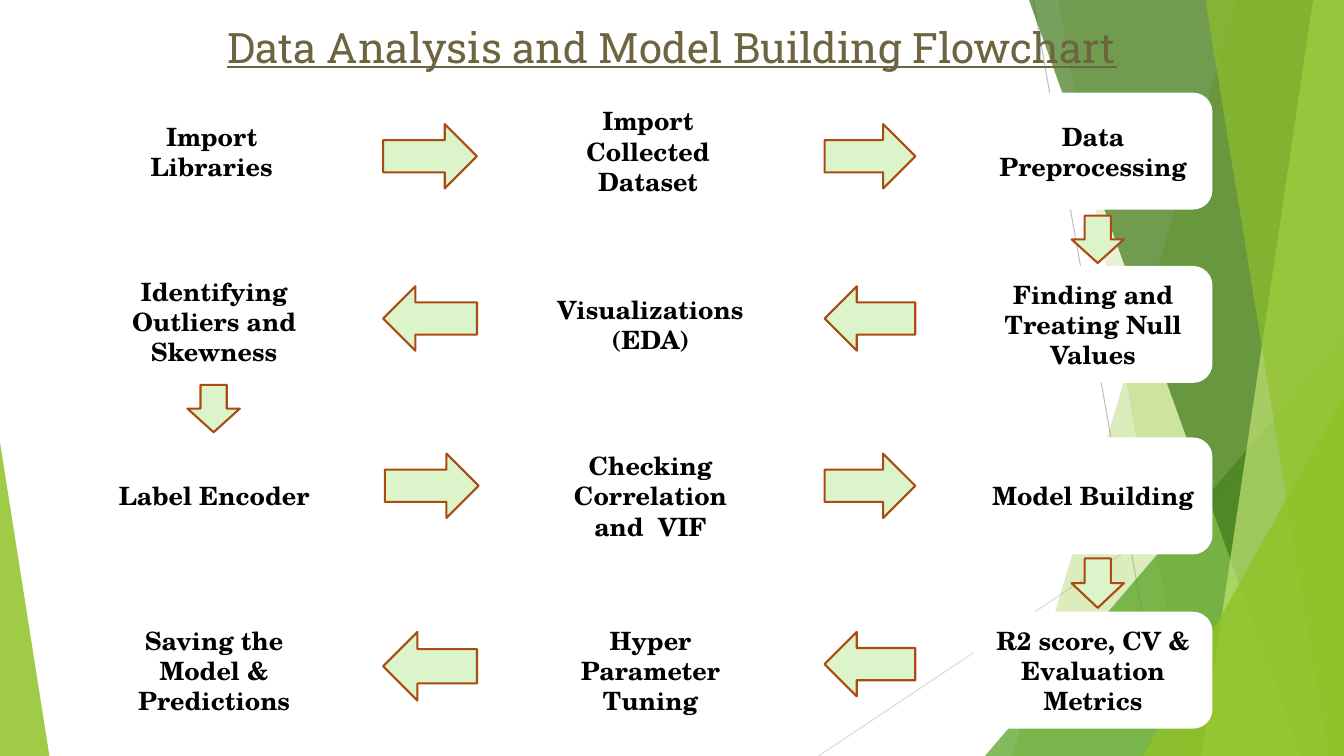
import lxml.etree
import pptx
import pptx.dml.color
import pptx.enum.shapes
import pptx.enum.text
import pptx.oxml.ns
import pptx.util

Pt = pptx.util.Pt
RGB = pptx.dml.color.RGBColor
SHAPE = pptx.enum.shapes.MSO_SHAPE
qn = pptx.oxml.ns.qn

WIDTH, HEIGHT = 960, 540
WHITE = RGB(0xFF, 0xFF, 0xFF)
BLACK = RGB(0x00, 0x00, 0x00)
OLIVE = RGB(0x6D, 0x65, 0x40)
LIME = RGB(0x90, 0xC2, 0x26)
PALE_LIME = RGB(0xC0, 0xE4, 0x74)
GREEN = RGB(0x54, 0xA0, 0x21)
DARK_GREEN = RGB(0x3F, 0x78, 0x19)
MINT = RGB(0xDB, 0xF4, 0xCA)
RUST = RGB(0xAB, 0x4B, 0x12)
GREY = RGB(0xBF, 0xBF, 0xBF)
LIGHT_GREY = RGB(0xD9, 0xD9, 0xD9)

TITLE_FONT = {"name": "Roboto Slab", "size": Pt(30), "underline": True}
STEP_FONT = {"name": "TeX Gyre Schola", "size": Pt(18), "bold": True}

# Step grid, measured from the flowchart's corner
COLUMNS = (0, 311.7, 627.8)
ROWS = (0, 123.8, 246.3, 370.8)
STEP_W, STEP_H = 170.6, 83.5
STEPS = (
    ("Import Libraries", "Import Collected Dataset", "Data Preprocessing"),
    ("Identifying Outliers and Skewness", "Visualizations\n(EDA)",
     "Finding and Treating Null Values"),
    ("Label Encoder", "Checking Correlation and  VIF", "Model Building"),
    ("Saving the Model & Predictions", "Hyper Parameter Tuning",
     "R2 score, CV & Evaluation Metrics"),
)
# Exceptions to the grid: (row, column) -> (left, top, width) shift
NUDGES = {(0, 0): (0, 0, -3.6), (0, 1): (0, 0, -3.6), (1, 0): (0, -2.1, 0)}

# Arrows between columns (left, width), their tops by row, and between rows
GAPS = ((206, 67), (521.3, 64.8))
ARROW_TOPS = (22.4, 138.3, 257.8, 385.2)
ARROW_H = 46
DOWN_ARROWS = ((697.7, 87.9, 33.8), (66.2, 208.8, 33.8), (697.7, 332.7, 35.3))
DOWN_W = 37.4


def set_font(p, color, values):
    for r in p.runs:
        for key, value in values.items():
            setattr(r.font, key, value)
        r.font.color.rgb = color


def paint(s, color, opacity=100, line=None):
    s.shadow.inherit = False
    s.fill.solid()
    s.fill.fore_color.rgb = color
    if opacity < 100:
        clr = s._element.spPr.find(f"{qn('a:solidFill')}/{qn('a:srgbClr')}")
        lxml.etree.SubElement(clr, qn("a:alpha"), val=str(opacity * 1000))
    if line is None:
        s.line.fill.background()
    else:
        s.line.color.rgb = line
        s.line.width = Pt(1.5)


def add_shape(sl, kind, x, y, w, h):
    return sl.shapes.add_shape(kind, Pt(x), Pt(y), Pt(w), Pt(h))


def add_hairline(sl, x1, y1, x2, y2, color):
    s = sl.shapes.add_connector(pptx.enum.shapes.MSO_CONNECTOR.STRAIGHT,
                                Pt(x1), Pt(y1), Pt(x2), Pt(y2))
    s.line.color.rgb = color
    s.line.width = Pt(0.75)
    lxml.etree.SubElement(s._element.spPr, qn("a:effectLst"))


def add_band(sl, right, bottom, top_x, bottom_x, color, opacity):
    """Band from a slanted left edge to the right side of its box."""
    fb = sl.shapes.build_freeform(Pt(top_x), 0)
    fb.add_line_segments([(Pt(right), 0), (Pt(right), Pt(bottom)),
                          (Pt(bottom_x), Pt(bottom))], close=True)
    paint(fb.convert_to_shape(), color, opacity)


def add_corner(sl, x, bottom, w, h, apex, color, opacity):
    """Right triangle standing on the bottom edge."""
    s = add_shape(sl, SHAPE.ISOSCELES_TRIANGLE, x, bottom - h, w, h)
    s.adjustments[0] = apex
    paint(s, color, opacity)


def add_backdrop(sl, w, h):
    add_hairline(sl, w - 222, 0, w - 126, h, GREY)
    add_hairline(sl, w, 290, w - 375.4, h, LIGHT_GREY)
    add_band(sl, w, h, w - 76, w - 237, LIME, 30)
    add_band(sl, w, h, w - 204, w - 108, LIME, 20)
    add_corner(sl, w - 256.5, h, 256.5, 300, 1, GREEN, 72)
    add_band(sl, w, h, w - 225, w - 30.5, DARK_GREEN, 70)
    add_band(sl, w, h, w - 22, w - 102, PALE_LIME, 70)
    add_band(sl, w, h, w - 99, w - 11, LIME, 65)
    add_corner(sl, w - 143.5, h, 143.5, 257, 1, LIME, 80)
    add_corner(sl, 0, h, 35.3, 224, 0, LIME, 85)


def add_title(sl, x, y, w, h, text):
    tf = sl.shapes.add_textbox(Pt(x), Pt(y), Pt(w), Pt(h)).text_frame
    tf.word_wrap = True
    p = tf.paragraphs[0]
    p.text = text
    p.alignment = pptx.enum.text.PP_ALIGN.CENTER
    set_font(p, OLIVE, TITLE_FONT)


def add_step(sl, x, y, w, h, text):
    s = add_shape(sl, SHAPE.FLOWCHART_ALTERNATE_PROCESS, x, y, w, h)
    paint(s, WHITE)
    tf = s.text_frame
    tf.word_wrap = True
    tf.vertical_anchor = pptx.enum.text.MSO_ANCHOR.MIDDLE
    tf.text = text
    for p in tf.paragraphs:
        p.alignment = pptx.enum.text.PP_ALIGN.CENTER
        set_font(p, BLACK, STEP_FONT)


def add_arrow(sl, kind, x, y, w, h):
    paint(add_shape(sl, kind, x, y, w, h), MINT, line=RUST)


def add_flowchart(sl, x, y):
    # Arrows run right on even rows and left on odd rows
    for row, top in enumerate(ARROW_TOPS):
        kind = SHAPE.LEFT_ARROW if row % 2 else SHAPE.RIGHT_ARROW
        for col, (left, w) in enumerate(GAPS):
            dx = 1.2 if (row, col) == (2, 0) else 0
            dh = 3 if (row, col) == (3, 0) else 0
            add_arrow(sl, kind, x + left + dx, y + top, w, ARROW_H + dh)
    for left, top, h in DOWN_ARROWS:
        add_arrow(sl, SHAPE.DOWN_ARROW, x + left, y + top, DOWN_W, h)
    # Steps
    for row, texts in enumerate(STEPS):
        for col, text in enumerate(texts):
            dx, dy, dw = NUDGES.get((row, col), (0, 0, 0))
            add_step(sl, x + COLUMNS[col] + dx, y + ROWS[row] + dy,
                     STEP_W + dw, STEP_H, text)


def main():
    prs = pptx.Presentation()
    prs.slide_width, prs.slide_height = Pt(WIDTH), Pt(HEIGHT)
    sl = prs.slides.add_slide(prs.slide_layouts[6])
    add_backdrop(sl, WIDTH, HEIGHT)
    add_title(sl, 0, 11.5, WIDTH, 44,
              "Data Analysis and Model Building Flowchart")
    add_flowchart(sl, 67.7, 66.2)
    prs.save("out.pptx")


if __name__ == "__main__":
    main()
